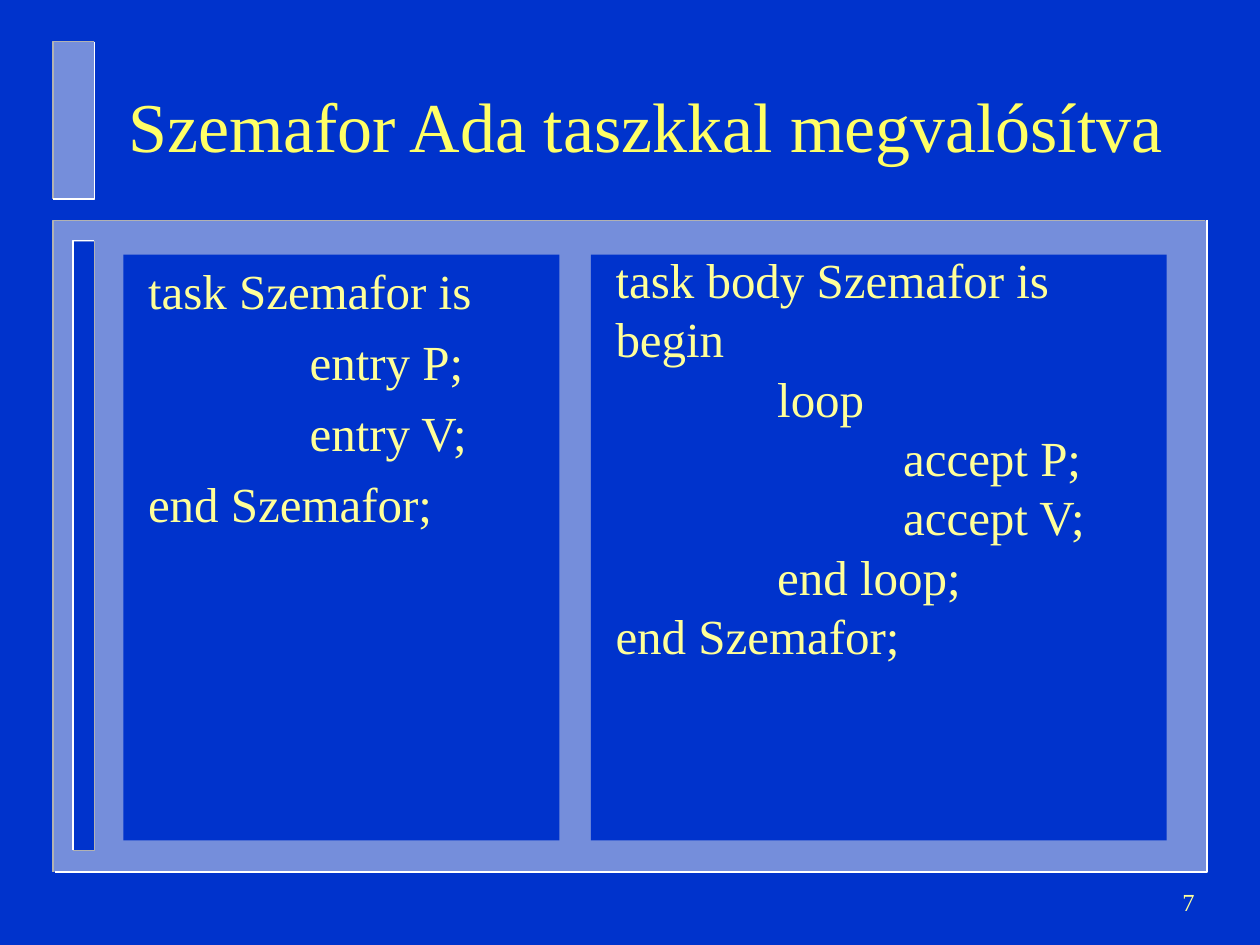
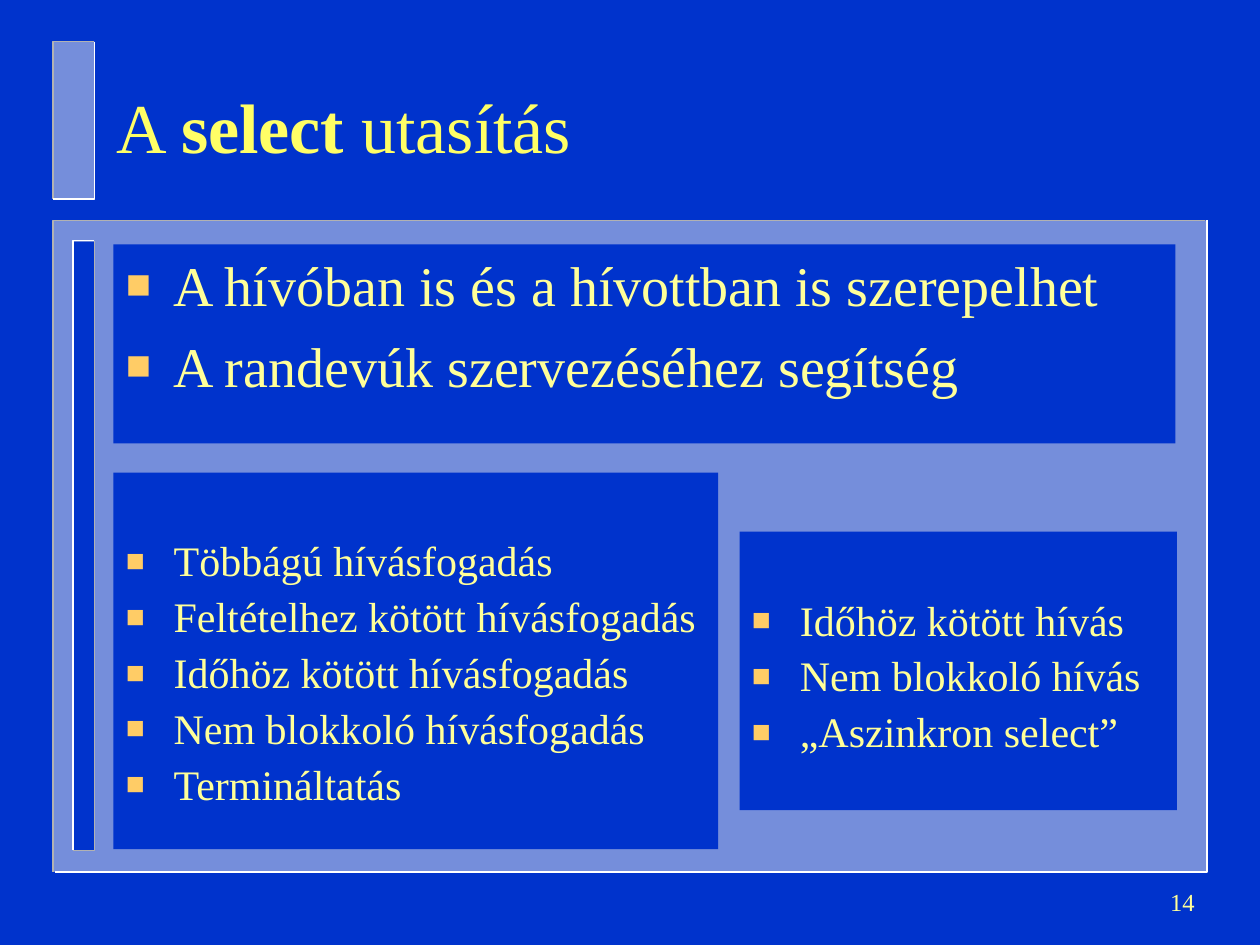
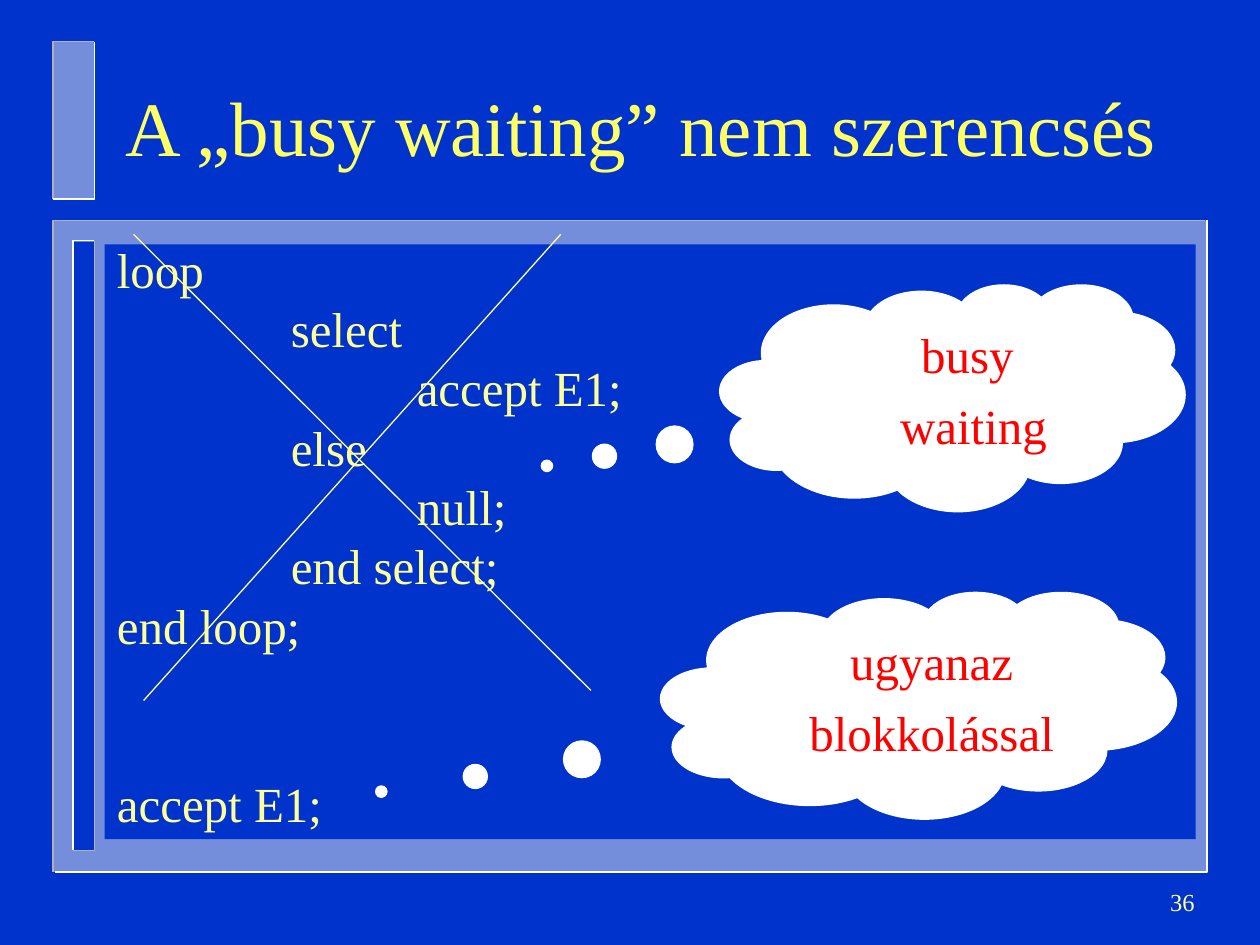
from lxml import etree
from pptx import Presentation
from pptx.dml.color import RGBColor
from pptx.enum.shapes import MSO_CONNECTOR, MSO_SHAPE
from pptx.enum.text import MSO_ANCHOR, PP_ALIGN
from pptx.oxml import parse_xml
from pptx.oxml.ns import nsdecls, qn
from pptx.util import Inches, Pt

RECTANGLE, CLOUD = MSO_SHAPE.RECTANGLE, MSO_SHAPE.CLOUD_CALLOUT
STRAIGHT = MSO_CONNECTOR.STRAIGHT
TOP, MIDDLE = MSO_ANCHOR.TOP, MSO_ANCHOR.MIDDLE
LEFT, CENTER, RIGHT = PP_ALIGN.LEFT, PP_ALIGN.CENTER, PP_ALIGN.RIGHT


class Theme:
    font = "Times New Roman"
    blue = RGBColor.from_string("0033CC")
    pale = RGBColor.from_string("EAEAEA")
    grey = RGBColor.from_string("B2B2B2")
    white = RGBColor.from_string("FFFFFF")
    title = RGBColor.from_string("FFFF66")
    text = RGBColor.from_string("FFFF99")
    red = RGBColor.from_string("FF0000")
    bullet = "FFCC66"
    title_size, long_title_size = 40, 44
    bullet_size, code_size, small_size, number_size = 32, 28, 24, 14


def add_block(page, kind, place, fill):
    """Add a filled shape without outline or shadow."""
    block = page.shapes.add_shape(kind, *map(Inches, place))
    block.shadow.inherit = False
    block.fill.solid()
    block.fill.fore_color.rgb = fill
    block.line.fill.background()
    return block


def write(box, lines, size, color=Theme.text, align=LEFT, anchor=TOP,
          indent=(0, 0), before=0, spacing=None, bullets=False):
    """Fill a box with paragraphs; a line is a string or a list of (text, bold)."""
    frame = box.text_frame
    frame.word_wrap = True
    frame.vertical_anchor = anchor
    for index, line in enumerate(lines):
        para = frame.paragraphs[0] if index == 0 else frame.add_paragraph()
        props = para._p.get_or_add_pPr()
        props.set("marL", str(Inches(indent[0])))
        props.set("indent", str(Inches(indent[1])))
        props.set("defTabSz", str(Inches(1)))
        if bullets:
            for markup in (
                f'<a:buClr {nsdecls("a")}><a:srgbClr val="{Theme.bullet}"/></a:buClr>',
                f'<a:buSzPct {nsdecls("a")} val="75000"/>',
                f'<a:buFont {nsdecls("a")} typeface="{Theme.font}"/>',
                f'<a:buChar {nsdecls("a")} char="■"/>',
            ):
                props.append(parse_xml(markup))
        para.alignment = align
        if spacing:
            para.line_spacing = spacing
        if index and before:
            para.space_before = Pt(before)
        for words, bold in [(line, False)] if isinstance(line, str) else line:
            span = para.add_run()
            span.text = words
            if bold:
                span.font.bold = True
        para.font.name = Theme.font
        para.font.size = Pt(size)
        para.font.color.rgb = color
        for span in para.runs:
            span.font.name = Theme.font
            span.font.size = Pt(size)
            span.font.color.rgb = color


# Shared frame: blocks (place, fill, opacity) and their bevelled edges
FRAME_BLOCKS = [
    ((0.43, 1.75, 9.15, 5.17), Theme.pale, 50),
    ((0.58, 1.92, 0.17, 4.83), Theme.blue, 100),
    ((0.42, 0.33, 0.33, 1.25), Theme.pale, 50),
]
FRAME_EDGES = [
    (Theme.grey, [(9.56, 1.75), (0.42, 1.75), (0.42, 6.92)]),
    (Theme.white, [(9.58, 1.75), (9.58, 6.92), (0.44, 6.92)]),
    (Theme.grey, [(0.58, 6.75), (0.75, 6.75), (0.75, 1.91)]),
    (Theme.white, [(0.58, 6.75), (0.58, 1.91), (0.75, 1.91)]),
    (Theme.grey, [(0.75, 0.33), (0.42, 0.33), (0.42, 1.58)]),
    (Theme.white, [(0.75, 0.33), (0.75, 1.58), (0.42, 1.58)]),
]
HANGING = (0.38, -0.38)
CODE = dict(size=Theme.code_size, indent=HANGING, before=7)
TIGHT_CODE = dict(CODE, spacing=0.8)

# Title, title place, title size and number of each slide
PAGES = [
    ("Szemafor Ada taszkkal megvalósítva", (0.92, 0.38, 8.5, 1.21), Theme.title_size, "7"),
    ([("A ", False), ("select", True), (" utasítás", False)],
     (0.83, 0.6, 8.5, 0.79), Theme.title_size, "14"),
    ("A „busy waiting” nem szerencsés", (0.9, 0.37, 8.5, 1.25), Theme.long_title_size, "36"),
]

deck = Presentation()
deck.slide_width, deck.slide_height = Inches(10), Inches(7.5)
backdrop = deck.slide_master.background.fill
backdrop.solid()
backdrop.fore_color.rgb = Theme.blue

pages = []
for title, place, title_size, number in PAGES:
    page = deck.slides.add_slide(deck.slide_layouts[6])
    pages.append(page)
    for block_place, fill, opacity in FRAME_BLOCKS:
        block = add_block(page, RECTANGLE, block_place, fill)
        if opacity < 100:
            shade = block._element.spPr.find(".//" + qn("a:srgbClr"))
            etree.SubElement(shade, qn("a:alpha"), val=str(opacity * 1000))
    for color, corners in FRAME_EDGES:
        points = [(Inches(x), Inches(y)) for x, y in corners]
        outline = page.shapes.build_freeform(*points[0])
        outline.add_line_segments(points[1:], close=False)
        edge = outline.convert_to_shape()
        edge.shadow.inherit = False
        edge.fill.background()
        edge.line.color.rgb = color
        edge.line.width = Pt(1)
    title_box = page.shapes.add_textbox(*map(Inches, place))
    write(title_box, [title], title_size, Theme.title, anchor=MIDDLE)
    number_box = page.shapes.add_textbox(*map(Inches, (7.5, 6.91, 2.08, 0.5)))
    write(number_box, [number], Theme.number_size, align=RIGHT, anchor=MIDDLE)

semaphore_page, select_page, waiting_page = pages

# Slide 1: task declaration and task body
declaration = add_block(semaphore_page, RECTANGLE, (0.98, 2.02, 3.46, 4.65), Theme.blue)
write(declaration, [" task Szemafor is", "\t\tentry P;", "\t\tentry V;", " end Szemafor;"], **CODE)
body = add_block(semaphore_page, RECTANGLE, (4.69, 2.02, 4.57, 4.65), Theme.blue)
write(body, [" task body Szemafor is", " begin", "\t\tloop", "\t\t\taccept P;",
             "\t\t\taccept V;", "\t\tend loop;", " end Szemafor;"], **TIGHT_CODE)

# Slide 2: overview above, callee and caller lists below
overview = add_block(select_page, RECTANGLE, (0.9, 1.94, 8.43, 1.58), Theme.blue)
write(overview, ["A hívóban is és a hívottban is szerepelhet",
                 "A randevúk szervezéséhez segítség"],
      Theme.bullet_size, indent=HANGING, before=8, bullets=True)
SELECT_LISTS = [
    ((0.9, 3.75, 4.8, 2.99),
     ["Többágú hívásfogadás", "Feltételhez kötött hívásfogadás",
      "Időhöz kötött hívásfogadás", "Nem blokkoló hívásfogadás", "Termináltatás"]),
    ((5.87, 4.22, 3.47, 2.21),
     ["Időhöz kötött hívás", "Nem blokkoló hívás", "„Aszinkron select”"]),
]
for place, items in SELECT_LISTS:
    panel = add_block(select_page, RECTANGLE, place, Theme.blue)
    panel.text_frame.margin_top = Inches(0.54)
    write(panel, items, Theme.small_size, indent=HANGING, before=6,
          spacing=0.9, bullets=True)

# Slide 3: crossed-out loop and its blocking replacement
code = add_block(waiting_page, RECTANGLE, (0.83, 1.94, 8.66, 4.72), Theme.blue)
write(code, ["loop", "\t\tselect", "\t\t\taccept E1;", "\t\telse", "\t\t\tnull;",
             "\t\tend select;", "end loop;", "accept E1;"], **TIGHT_CODE)
code.text_frame.paragraphs[-1].space_before = Pt(75)

for ends in [(1.14, 5.56, 4.45, 1.86), (1.06, 1.86, 4.69, 5.48)]:
    stroke = waiting_page.shapes.add_connector(STRAIGHT, *map(Inches, ends))
    stroke.line.color.rgb = Theme.text
    stroke.line.width = Pt(0.75)
    etree.SubElement(stroke._element.spPr, qn("a:effectLst"))

# Thought clouds: place, tail offset, words
CLOUDS = [
    ((5.71, 2.25, 3.7, 1.81), (-0.87, 0.3), ["busy", " waiting"]),
    ((5.24, 4.69, 4.1, 1.81), (-1.04, 0.38), ["ugyanaz", "blokkolással"]),
]
for place, tail, words in CLOUDS:
    cloud = add_block(waiting_page, CLOUD, place, Theme.white)
    cloud.adjustments[0], cloud.adjustments[1] = tail
    write(cloud, words, Theme.code_size, Theme.red, CENTER,
          indent=(0.81, -0.31), before=7)

deck.save("out.pptx")
